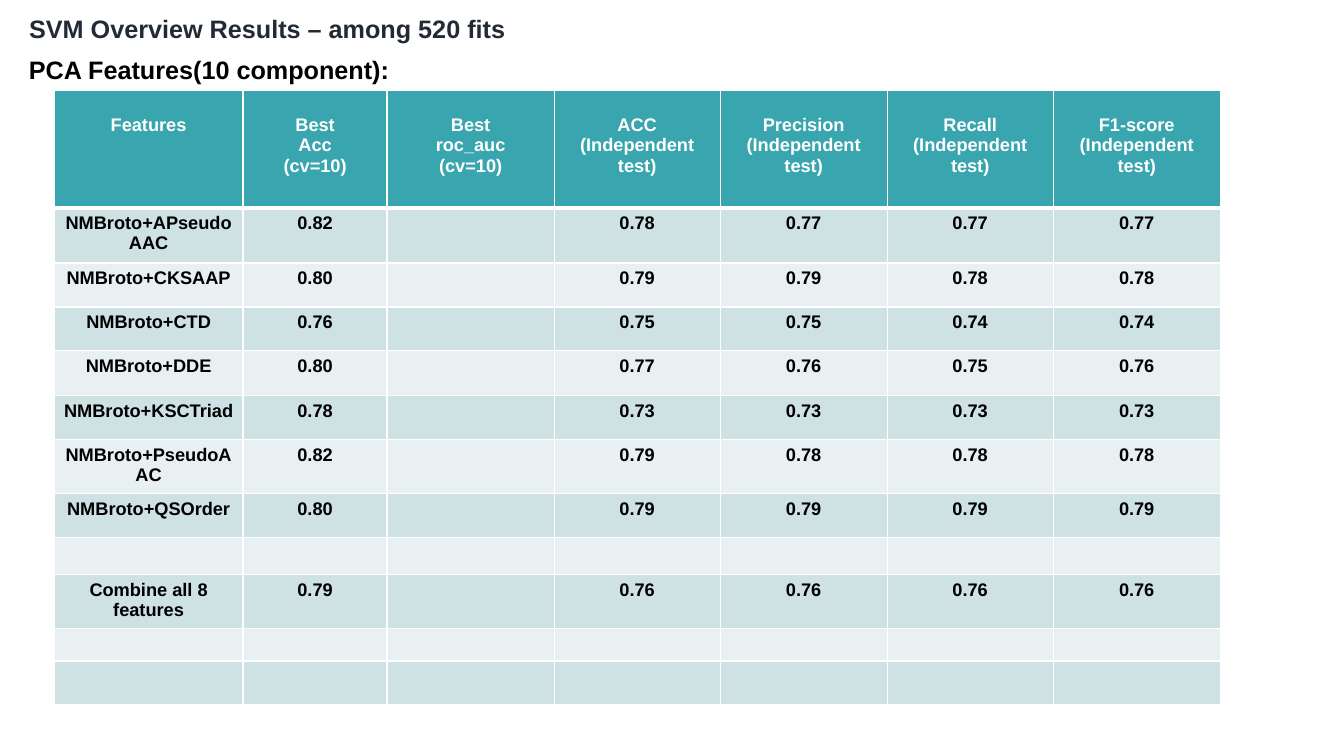
from lxml import etree
from pptx import Presentation
from pptx.dml.color import RGBColor
from pptx.enum.text import MSO_ANCHOR, MSO_AUTO_SIZE, PP_ALIGN
from pptx.oxml.ns import qn
from pptx.util import Emu, Inches, Pt

LEFT, CENTER, JUSTIFY = PP_ALIGN.LEFT, PP_ALIGN.CENTER, PP_ALIGN.JUSTIFY
TOP = MSO_ANCHOR.TOP
NO_AUTOFIT = MSO_AUTO_SIZE.NONE

EMU_PER_PX = 914400 / 100.8
FONT = "Arial"
HEADING_SIZE = 18
TABLE_SIZE = 13

NAVY = RGBColor(0x22, 0x2A, 0x35)
BLACK = RGBColor(0x00, 0x00, 0x00)
WHITE = RGBColor(0xFF, 0xFF, 0xFF)
TEAL = RGBColor(0x39, 0xA5, 0xAE)
BAND_DARK = RGBColor(0xCE, 0xE1, 0xE3)
BAND_LIGHT = RGBColor(0xE8, 0xF0, 0xF2)

COLUMN_WIDTHS = [189, 144, 167, 166, 167, 166, 167]
ROW_HEIGHTS = [118, 55, 44, 44, 45, 44, 54, 44, 37, 54, 32, 44]
HEADER_TOP_MARGIN = 25

EMPTY_ROW = [""] * len(COLUMN_WIDTHS)
RESULTS = [
    ["Features", "Best\nAcc\n(cv=10)", "Best\nroc_auc\n(cv=10)"]
    + [f"{metric}\n(Independent test)"
       for metric in ("ACC", "Precision", "Recall", "F1-score")],
    ["NMBroto+APseudoAAC", "0.82", "", "0.78", "0.77", "0.77", "0.77"],
    ["NMBroto+CKSAAP", "0.80", "", "0.79", "0.79", "0.78", "0.78"],
    ["NMBroto+CTD", "0.76", "", "0.75", "0.75", "0.74", "0.74"],
    ["NMBroto+DDE", "0.80", "", "0.77", "0.76", "0.75", "0.76"],
    ["NMBroto+KSCTriad", "0.78", "", "0.73", "0.73", "0.73", "0.73"],
    ["NMBroto+PseudoAAC", "0.82", "", "0.79", "0.78", "0.78", "0.78"],
    ["NMBroto+QSOrder", "0.80", "", "0.79", "0.79", "0.79", "0.79"],
    EMPTY_ROW,
    ["Combine all 8 features", "0.79", "", "0.76", "0.76", "0.76", "0.76"],
    EMPTY_ROW,
    EMPTY_ROW,
]


def px(length):
    return Emu(round(length * EMU_PER_PX))


def add_text(paragraph, text, size, color, alignment):
    paragraph.alignment = alignment
    run = paragraph.add_run()
    run.text = text
    run.font.name = FONT
    run.font.size = Pt(size)
    run.font.bold = True
    run.font.color.rgb = color


def format_heading(shape, box, text, color, alignment):
    """Place a one-line heading and give it its text."""
    shape.left, shape.top, shape.width, shape.height = map(px, box)
    frame = shape.text_frame
    frame.word_wrap = True
    frame.auto_size = NO_AUTOFIT
    frame.vertical_anchor = TOP
    add_text(frame.paragraphs[0], text, HEADING_SIZE, color, alignment)


def set_borders(cell, top, bottom):
    """Draw white cell borders; top and bottom are widths in points."""
    properties = cell._tc.get_or_add_tcPr()
    for tag, width in (("a:lnL", 1), ("a:lnR", 1), ("a:lnT", top), ("a:lnB", bottom)):
        line = etree.SubElement(properties, qn(tag), w=str(Pt(width)))
        fill = etree.SubElement(line, qn("a:solidFill"))
        etree.SubElement(fill, qn("a:srgbClr"), val=str(WHITE))


def fill_cell(cell, text, color):
    frame = cell.text_frame
    if not text:
        # An empty cell needs a small text size to keep its row low.
        etree.SubElement(frame.paragraphs[0]._p, qn("a:endParaRPr"),
                         sz=str(TABLE_SIZE * 100))
        return
    for index, line in enumerate(text.split("\n")):
        paragraph = frame.add_paragraph() if index else frame.paragraphs[0]
        add_text(paragraph, line, TABLE_SIZE, color, CENTER)


def add_results_table(slide, left, top):
    table = slide.shapes.add_table(
        len(RESULTS), len(COLUMN_WIDTHS), px(left), px(top),
        px(sum(COLUMN_WIDTHS)), px(sum(ROW_HEIGHTS))).table
    for column, width in zip(table.columns, COLUMN_WIDTHS):
        column.width = px(width)
    for row_index, (row, height) in enumerate(zip(table.rows, ROW_HEIGHTS)):
        row.height = px(height)
        is_header = row_index == 0
        band = BAND_DARK if row_index % 2 else BAND_LIGHT
        for cell, text in zip(row.cells, RESULTS[row_index]):
            set_borders(cell, top=3 if row_index == 1 else 1,
                        bottom=3 if is_header else 1)
            cell.fill.solid()
            cell.fill.fore_color.rgb = TEAL if is_header else band
            if is_header:
                cell.margin_top = px(HEADER_TOP_MARGIN)
            fill_cell(cell, text, WHITE if is_header else BLACK)


def main():
    presentation = Presentation()
    presentation.slide_width = Inches(13.33)
    presentation.slide_height = Inches(7.5)
    slide = presentation.slides.add_slide(presentation.slide_layouts[5])

    format_heading(slide.shapes.title, (19, 8, 953, 40),
                   "SVM Overview Results – among 520 fits", NAVY, LEFT)
    subtitle = slide.shapes.add_textbox(0, 0, 0, 0)
    format_heading(subtitle, (19, 49, 1110, 40),
                   "PCA Features(10 component):", BLACK, JUSTIFY)
    add_results_table(slide, 54, 90)

    presentation.save("out.pptx")


if __name__ == "__main__":
    main()
